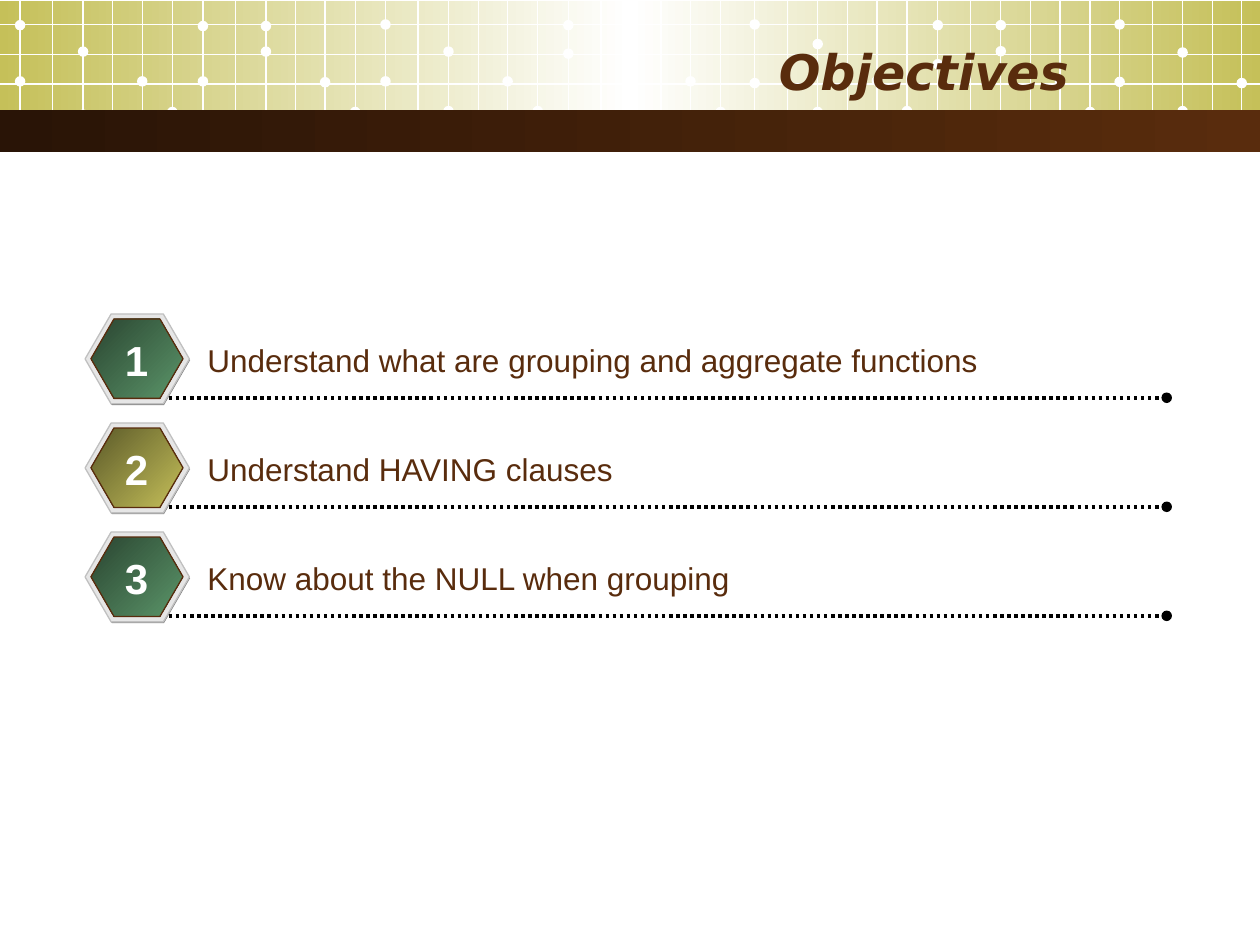
from copy import deepcopy
from pptx import Presentation
from pptx.dml.color import RGBColor
from pptx.enum.dml import MSO_LINE
from pptx.enum.shapes import MSO_CONNECTOR, MSO_SHAPE
from pptx.enum.text import MSO_ANCHOR, PP_ALIGN
from pptx.oxml.ns import qn
from pptx.oxml.xmlchemy import OxmlElement
from pptx.util import Pt

WHITE = RGBColor(0xFF, 0xFF, 0xFF)
BLACK = RGBColor(0, 0, 0)
BROWN = RGBColor(0x59, 0x2C, 0x0D)
DARK = RGBColor(0x29, 0x14, 0x06)
GOLD = RGBColor(0xC5, 0xC0, 0x59)
OLIVE = RGBColor(0x5B, 0x59, 0x29)
GREEN = RGBColor(0x5B, 0x95, 0x69)
PINE = RGBColor(0x2A, 0x45, 0x31)
GRAY = RGBColor(0x80, 0x80, 0x80)
PALE = RGBColor(0xE6, 0xE6, 0xE6)
SILVER = RGBColor(0xC0, 0xC0, 0xC0)

TITLE = "Objectives"
GOALS = [
    ("Understand what are grouping and aggregate functions", (PINE, GREEN)),
    ("Understand HAVING clauses", (OLIVE, GOLD)),
    ("Know about the NULL when grouping", (PINE, GREEN)),
]
STEPS = [0, 18.6, 36, 53, 69.8, 87]
TILES = [
    (11.5, [(0, 46.5), (0, 14.4), (2, 29.5), (2, 65.5), (4, 46.5), (5, 64)]),
    (116, [(0, 46.5), (0, 14.9), (2, 29.5), (2, 14.9), (4, 47), (5, 64)]),
    (220.3, [(0, 46.5), (0, 14), (2, 29.5), (2, 63.5), (4, 46.5), (5, 63.5)]),
    (324.8, [(0, 30.7), (0, 14.4), (2, 30.5), (2, 14.4), (4, 46.5), (5, 64)]),
    (431.3, [(0, 47.5), (0, 14), (2, 25.2), (2, 64), (4, 46.2), (5, 63.5)]),
    (535.9, [(0, 36.7), (0, 14.4), (2, 29.3), (2, 14.4), (4, 46.8), (5, 64)]),
    (639.8, [(0, 46.8), (0, 14), (2, 30), (2, 63.5), (4, 47.5)]),
]
ROWS = [14.2, 31, 48, 64.2]
WIDE, TALL, DOT = 720, 540, 6
TOP, PITCH = 179.4, 62.3


def paint(fill, tones, turn=0):
    if len(tones) == 1:
        fill.solid()
        fill.fore_color.rgb = tones[0]
        return
    fill.gradient()
    fill.gradient_angle = turn
    stops = fill.gradient_stops
    for tone, stop in zip(tones, stops):
        stop.color.rgb = tone
        stop.position = tones.index(tone) / (len(tones) - 1)


def shape(home, kind, box, tones, edge=None, turn=0):
    item = home.add_shape(kind, *map(Pt, box))
    item.shadow.inherit = False
    paint(item.fill, tones, turn)
    if edge is None:
        item.line.fill.background()
    else:
        item.line.color.rgb = edge
        item.line.width = Pt(0.75)
    return item


def line(home, start, end, tone, width):
    item = home.add_connector(MSO_CONNECTOR.STRAIGHT, *map(Pt, start + end))
    item.line.color.rgb = tone
    item.line.width = Pt(width)
    item._element.spPr.append(OxmlElement("a:effectLst"))
    return item


def text(home, box, words, size, tone, face="Arial", bold=False,
         slant=False, side=PP_ALIGN.LEFT, wrap=True):
    item = home.add_textbox(*map(Pt, box))
    frame = item.text_frame
    frame.word_wrap = wrap
    frame.vertical_anchor = MSO_ANCHOR.MIDDLE
    par = frame.paragraphs[0]
    par.alignment = side
    run = par.add_run()
    run.text = words
    font = run.font
    font.name, font.size = face, Pt(size)
    font.bold, font.italic = bold, slant
    font.color.rgb = tone


def header(home):
    band = shape(home, MSO_SHAPE.RECTANGLE, (0, 0.5, WIDE, 73.5), (GOLD, WHITE))
    stops = band._element.spPr.find(".//" + qn("a:gsLst"))
    last = deepcopy(stops[0])
    last.set("pos", "100000")
    stops[1].set("pos", "50000")
    stops.append(last)
    grid = home.add_group_shape().shapes
    for left, dots in TILES:
        for step in STEPS:
            x = left + step
            if x < WIDE:
                line(grid, (x, 0.3), (x, 79.3), WHITE, 0.75)
        for col, y in dots:
            x = left + STEPS[col]
            box = (x - DOT / 2, y - DOT / 2, DOT, DOT)
            shape(grid, MSO_SHAPE.OVAL, box, (WHITE,))
    for y in ROWS:
        line(grid, (0, y), (WIDE, y), WHITE, 0.75)
    shape(home, MSO_SHAPE.RECTANGLE, (0, 63, WIDE, 24), (DARK, BROWN))
    text(home, (36, 18, 581.8, 44.6), TITLE, 28, BROWN, "DejaVu Sans",
         True, True, PP_ALIGN.RIGHT)


def goal(home, num, words, tones):
    top = TOP + (num - 1) * PITCH
    badge = home.add_group_shape().shapes
    layers = [
        ((49, top + 0.7, 59.6, 51.4), (GRAY,), None),
        ((48.6, top, 59.6, 51.4), (PALE,), SILVER),
        ((52, top + 2.9, 52.6, 45.4), tones, BROWN),
    ]
    for box, fill, edge in layers:
        item = shape(badge, MSO_SHAPE.HEXAGON, box, fill, edge, 315)
        item.adjustments[0] = 0.29
    rule = line(home, (96.5, top + 47.9), (666.7, top + 47.9), BLACK, 2)
    rule.line.dash_style = MSO_LINE.ROUND_DOT
    tail = OxmlElement("a:tailEnd")
    tail.set("type", "oval")
    rule.line._get_or_add_ln().append(tail)
    text(home, (111.4, top + 11.8, 560, 28.8), words, 18, BROWN)
    text(home, (64.2, top + 8, 27.4, 36), str(num), 24, WHITE,
         bold=True, side=PP_ALIGN.CENTER, wrap=False)


def main():
    deck = Presentation()
    deck.slide_width, deck.slide_height = Pt(WIDE), Pt(TALL)
    home = deck.slides.add_slide(deck.slide_layouts[6]).shapes
    header(home)
    for num, (words, tones) in enumerate(GOALS, 1):
        goal(home, num, words, tones)
    deck.save("out.pptx")


if __name__ == "__main__":
    main()
